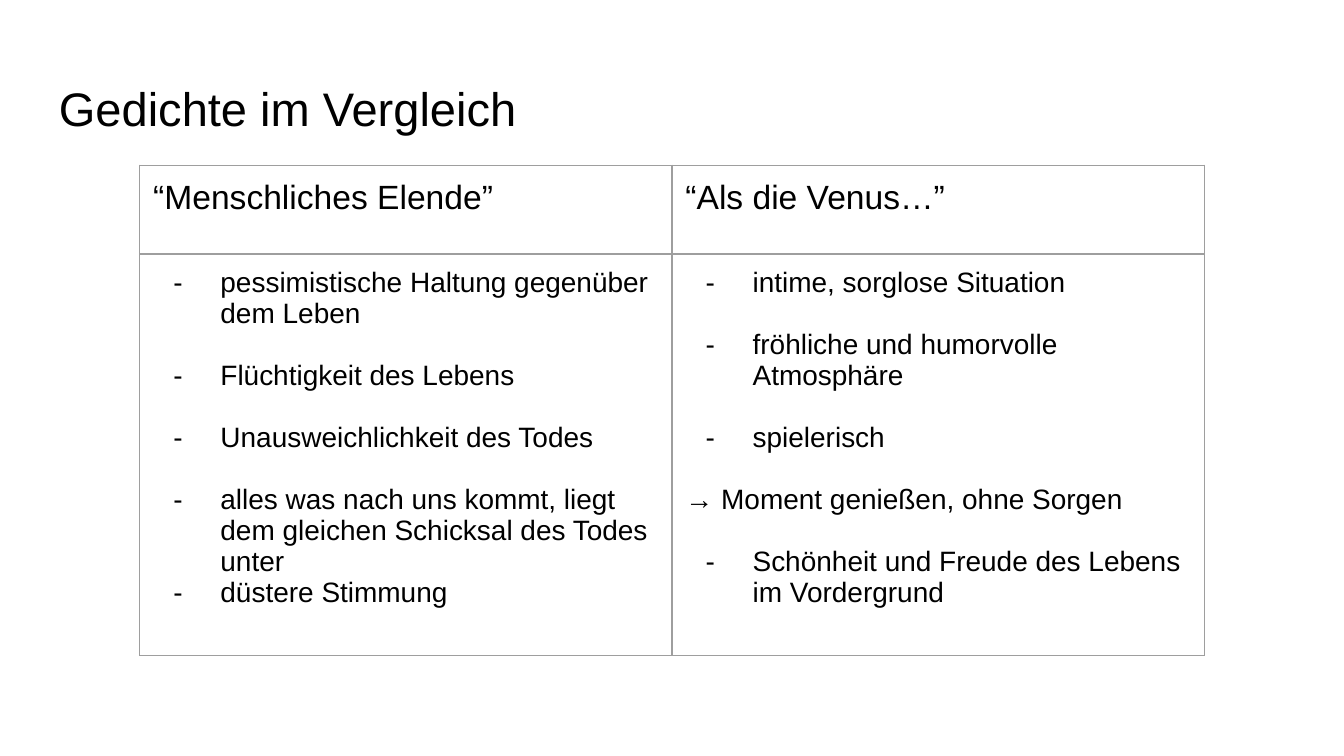
from lxml import etree
from pptx import Presentation
from pptx.dml.color import RGBColor
from pptx.enum import text as t
from pptx.oxml import ns
from pptx.util import Inches, Pt

BLACK = RGBColor(0x00, 0x00, 0x00)
GREY = RGBColor(0x9E, 0x9E, 0x9E)
FONT = "Arial"
PAD = Inches(0.1)
GAP = 16.5

HEADS = ["“Menschliches Elende”", "“Als die Venus…”"]
# Each point: text, has a dash, has a gap above
POINTS = [
    [
        ("pessimistische Haltung gegenüber dem Leben", True, False),
        ("Flüchtigkeit des Lebens", True, True),
        ("Unausweichlichkeit des Todes", True, True),
        ("alles was nach uns kommt, liegt dem gleichen Schicksal des Todes unter", True, True),
        ("düstere Stimmung", True, False),
    ],
    [
        ("intime, sorglose Situation", True, False),
        ("fröhliche und humorvolle Atmosphäre", True, True),
        ("spielerisch", True, True),
        ("→ Moment genießen, ohne Sorgen", False, True),
        ("Schönheit und Freude des Lebens im Vordergrund", True, True),
    ],
]


def add(parent, tag, **attrs):
    node = etree.SubElement(parent, ns.qn(tag))
    for key, val in attrs.items():
        node.set(key, str(val))
    return node


def write(para, words, size=15, dash=False, gap=False):
    """Fill a paragraph, with a hanging dash and a gap above on demand."""
    if gap:
        para.space_before = Pt(GAP)
    if dash:
        props = para._p.get_or_add_pPr()
        props.set("marL", str(Inches(0.5)))
        props.set("indent", str(Inches(-0.35)))
        color = add(props, "a:buClr")
        add(color, "a:srgbClr", val=BLACK)
        add(props, "a:buFont", typeface=FONT)
        add(props, "a:buChar", char="-")
    run = para.add_run()
    run.text = words
    run.font.name = FONT
    run.font.size = Pt(size)
    run.font.color.rgb = BLACK


def border(cell):
    props = cell._tc.get_or_add_tcPr()
    for side in ("L", "R", "T", "B"):
        line = add(props, f"a:ln{side}", w=Pt(0.75))
        fill = add(line, "a:solidFill")
        add(fill, "a:srgbClr", val=GREY)


class Deck:
    def __init__(self):
        self.show = Presentation()
        self.show.slide_width = Inches(10)
        self.show.slide_height = Inches(10) * 9 // 16
        self.slide = self.show.slides.add_slide(self.show.slide_layouts[6])

    def pad(self, item):
        item.margin_left = item.margin_right = PAD
        item.margin_top = item.margin_bottom = PAD
        item.vertical_anchor = t.MSO_ANCHOR.TOP

    def title(self, words):
        box = self.slide.shapes.add_textbox(
            Inches(0.34), Inches(0.49), Inches(9.32), Inches(0.63))
        frame = box.text_frame
        frame.word_wrap = True
        self.pad(frame)
        write(frame.paragraphs[0], words, size=25.2)

    def cell(self, cell, points, size):
        self.pad(cell)
        border(cell)
        cell.fill.background()
        frame = cell.text_frame
        for i, (words, dash, gap) in enumerate(points):
            para = frame.add_paragraph() if i else frame.paragraphs[0]
            write(para, words, size=size, dash=dash, gap=gap)

    def table(self, heads, points):
        grid = self.slide.shapes.add_table(
            2, len(heads), Inches(1.04), Inches(1.23), Inches(7.92), Inches(3.65)).table
        grid.first_row = grid.horz_banding = False
        grid.rows[0].height = Inches(0.66)
        grid.rows[1].height = Inches(2.99)
        for col, (head, body) in enumerate(zip(heads, points)):
            grid.columns[col].width = Inches(3.96)
            self.cell(grid.cell(0, col), [(head, False, False)], 18)
            self.cell(grid.cell(1, col), body, 15)


def main():
    deck = Deck()
    deck.title("Gedichte im Vergleich")
    deck.table(HEADS, POINTS)
    deck.show.save("out.pptx")


if __name__ == "__main__":
    main()
